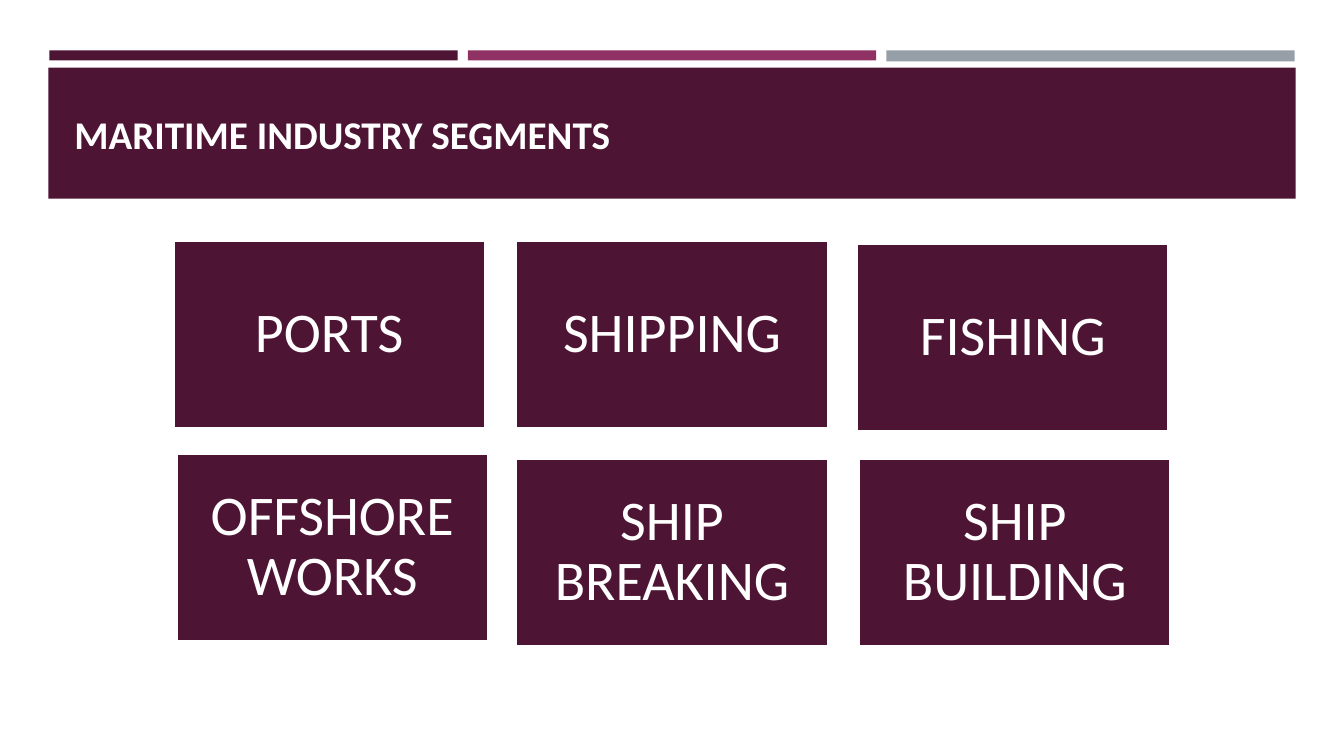
from pptx import Presentation
from pptx.dml.color import RGBColor
from pptx.enum.shapes import MSO_SHAPE
from pptx.enum.text import MSO_ANCHOR, PP_ALIGN
from pptx.util import Inches, Pt

COLORS = {"plum": "4D1434", "magenta": "903163", "gray": "969FA7", "white": "FFFFFF"}
STRIPES = [("plum", 0.1), ("magenta", 0.1), ("gray", 0.11)]
SEGMENTS = [
    ("PORTS", 1.72, 2.39),
    ("SHIPPING", 5.12, 2.39),
    ("FISHING", 8.5, 2.42),
    ("OFFSHORE WORKS", 1.75, 4.5),
    ("SHIP BREAKING", 5.12, 4.55),
    ("SHIP BUILDING", 8.52, 4.55),
]


def rgb(name):
    return RGBColor.from_string(COLORS[name])


def add_rect(s, x, y, w, h, fill):
    sp = s.shapes.add_shape(MSO_SHAPE.RECTANGLE, Inches(x), Inches(y), Inches(w), Inches(h))
    sp.shadow.inherit = False
    sp.fill.solid()
    sp.fill.fore_color.rgb = rgb(fill)
    sp.line.fill.background()
    return sp


def set_text(sp, text, size, align, bold=False):
    tf = sp.text_frame
    tf.word_wrap = True
    tf.vertical_anchor = MSO_ANCHOR.MIDDLE
    p = tf.paragraphs[0]
    p.text = text
    p.alignment = align
    p.font.name = "Calibri"
    p.font.size = Pt(size)
    p.font.bold = bold
    p.font.color.rgb = rgb("white")
    return tf


def add_title(s, text):
    sp = s.shapes.add_textbox(Inches(0.64), Inches(0.77), Inches(12.06), Inches(1.11))
    set_text(sp, text, 28, PP_ALIGN.LEFT, bold=True)


def add_segment(s, text, x, y):
    sp = add_rect(s, x, y, 3.09, 1.86, "plum")
    sp.line.color.rgb = rgb("white")
    sp.line.width = Pt(1.75)
    tf = set_text(sp, text, 40, PP_ALIGN.CENTER)
    tf.margin_left = tf.margin_right = tf.margin_top = tf.margin_bottom = Inches(0.17)
    tf.paragraphs[0].line_spacing = 0.9


def main():
    prs = Presentation()
    prs.slide_width, prs.slide_height = Inches(13.33), Inches(7.5)
    s = prs.slides.add_slide(prs.slide_layouts[6])
    for i, (color, height) in enumerate(STRIPES):
        add_rect(s, 0.49 + i * 4.15, 0.5, 4.05, height, color)
    add_rect(s, 0.48, 0.67, 12.37, 1.3, "plum")
    add_title(s, "MARITIME INDUSTRY SEGMENTS")
    for text, x, y in SEGMENTS:
        add_segment(s, text, x, y)
    prs.save("out.pptx")


if __name__ == "__main__":
    main()
